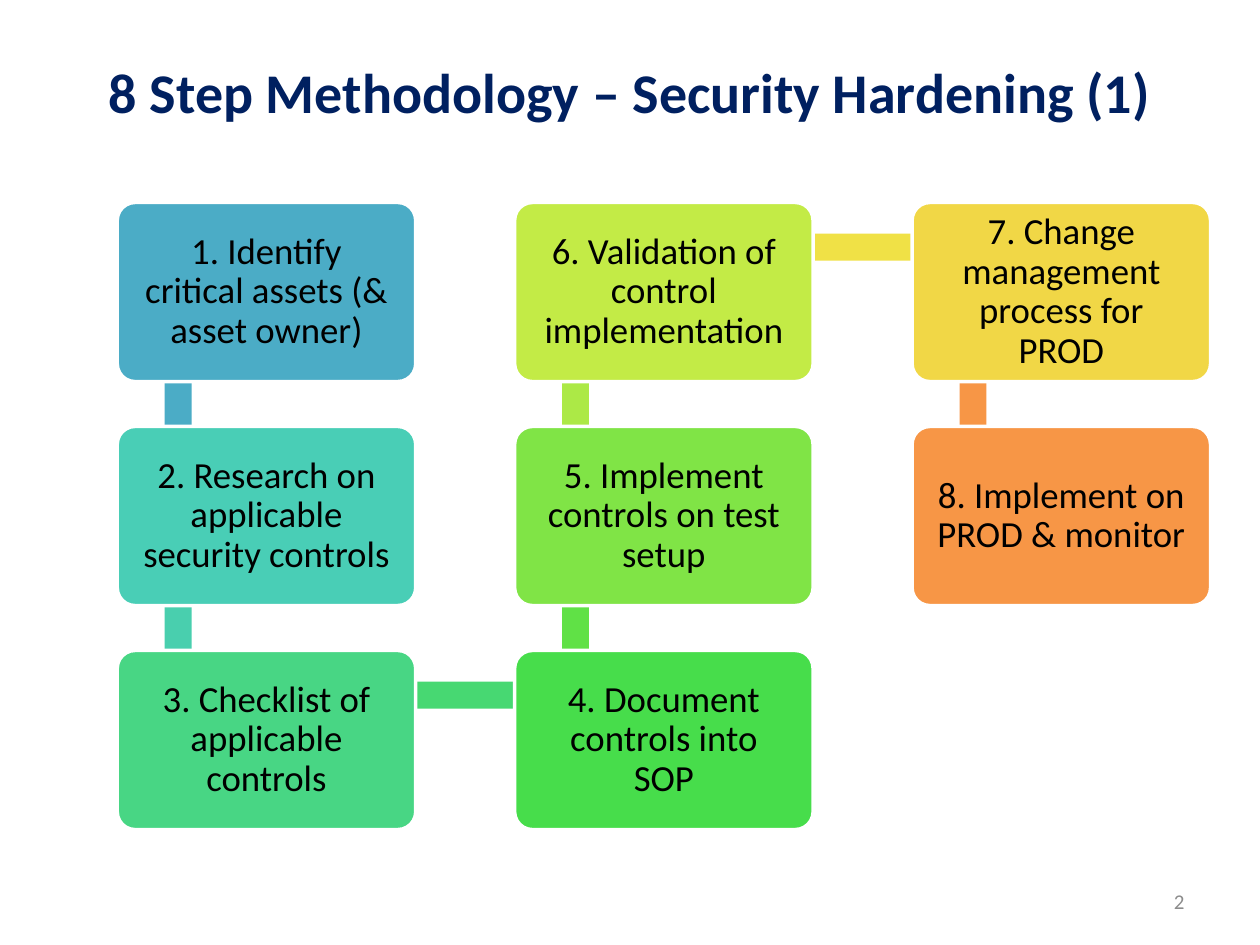
from dataclasses import dataclass
from pptx import Presentation
from pptx.dml.color import RGBColor
from pptx.enum.shapes import MSO_SHAPE
from pptx.enum.text import MSO_ANCHOR, PP_ALIGN
from pptx.util import Pt

RECT, ROUND = MSO_SHAPE.RECTANGLE, MSO_SHAPE.ROUNDED_RECTANGLE
MIDDLE = MSO_ANCHOR.MIDDLE
CENTER, RIGHT = PP_ALIGN.CENTER, PP_ALIGN.RIGHT


@dataclass(frozen=True)
class Theme:
    font: str = "Calibri"
    navy: str = "002060"
    ink: str = "000000"
    gray: str = "8C8C8C"
    white: str = "FFFFFF"
    head: int = 32
    body: int = 21
    foot: int = 12


class Deck:
    """Holds the theme and the slide being drawn."""

    def __init__(self, slide, theme):
        self.slide, self.theme = slide, theme

    def label(self, shape, text, size, color, align, bold=False):
        frame = shape.text_frame
        frame.text = text
        frame.word_wrap = True
        frame.vertical_anchor = MIDDLE
        para = frame.paragraphs[0]
        para.alignment = align
        font = para.runs[0].font
        font.name, font.size, font.bold = self.theme.font, Pt(size), bold
        font.color.rgb = RGBColor.from_string(color)
        return frame

    def title(self, text, *area):
        shape = self.slide.shapes.title
        shape.left, shape.top, shape.width, shape.height = map(Pt, area)
        self.label(shape, text, self.theme.head, self.theme.navy, CENTER, True)

    def number(self, text, *area):
        shape = self.slide.shapes.add_textbox(*map(Pt, area))
        self.label(shape, text, self.theme.foot, self.theme.gray, RIGHT)

    def block(self, kind, color, *area):
        shape = self.slide.shapes.add_shape(kind, *map(Pt, area))
        shape.shadow.inherit = False
        shape.fill.solid()
        shape.fill.fore_color.rgb = RGBColor.from_string(color)
        shape.line.fill.background()
        return shape

    def bar(self, start, end, thick, color):
        """Draw a thick band around the centre line from start to end."""
        (x1, y1), (x2, y2) = start, end
        left, top, half = min(x1, x2), min(y1, y2), thick / 2
        if x1 == x2:
            area = left - half, top, thick, abs(y2 - y1)
        else:
            area = left, top - half, abs(x2 - x1), thick
        self.block(RECT, color, *area)

    def step(self, text, color, *area):
        shape = self.block(ROUND, color, *area)
        shape.adjustments[0] = 0.1
        shape.line.color.rgb = RGBColor.from_string(self.theme.white)
        shape.line.width = Pt(2)
        frame = self.label(shape, text, self.theme.body, self.theme.ink, CENTER)
        frame.paragraphs[0].line_spacing = 0.9
        frame.margin_left = frame.margin_right = Pt(9.4)
        frame.margin_top = frame.margin_bottom = Pt(9.4)


# Text, box colour, colour of the bar to the next step
STEPS = [
    ("1. Identify critical assets (& asset owner)", "4BACC6", "4BACC6"),
    ("2. Research on applicable security controls", "49CEB6", "49CFAE"),
    ("3. Checklist of applicable controls", "48D684", "47D872"),
    ("4. Document controls into SOP", "47DD4B", "60E146"),
    ("5. Implement controls on test setup", "80E446", "ACE946"),
    ("6. Validation of control implementation", "C3EB46", "F0E146"),
    ("7. Change management process for PROD", "F1D746", "F79646"),
    ("8. Implement on PROD & monitor", "F79646", None),
]
ROWS = 3
LEFT, TOP, WIDE, HIGH = 67, 115.7, 170.6, 102.4
STEP_X, STEP_Y = 227.1, 128
HOOK_X, HOOK_Y, THICK = 34.8, 25.5, 15.4


def place(index):
    """Top left of a step: columns run down and up in turn."""
    col, row = divmod(index, ROWS)
    if col % 2:
        row = ROWS - 1 - row
    return LEFT + col * STEP_X, TOP + row * STEP_Y


def hook(index):
    """Point inside a step where its bars meet."""
    x, y = place(index)
    return x + HOOK_X, y + HOOK_Y


def main():
    prs = Presentation()
    prs.slide_width, prs.slide_height = Pt(720), Pt(540)
    deck = Deck(prs.slides.add_slide(prs.slide_layouts[5]), Theme())
    deck.number("2", 516, 500.5, 168, 28.8)
    deck.title("8 Step Methodology – Security Hardening (1)", 36, 16.6, 648, 70.6)
    for i, (text, color, link) in enumerate(STEPS):
        if link:
            deck.bar(hook(i), hook(i + 1), THICK, link)
        deck.step(text, color, *place(i), WIDE, HIGH)
    prs.save("out.pptx")


if __name__ == "__main__":
    main()
